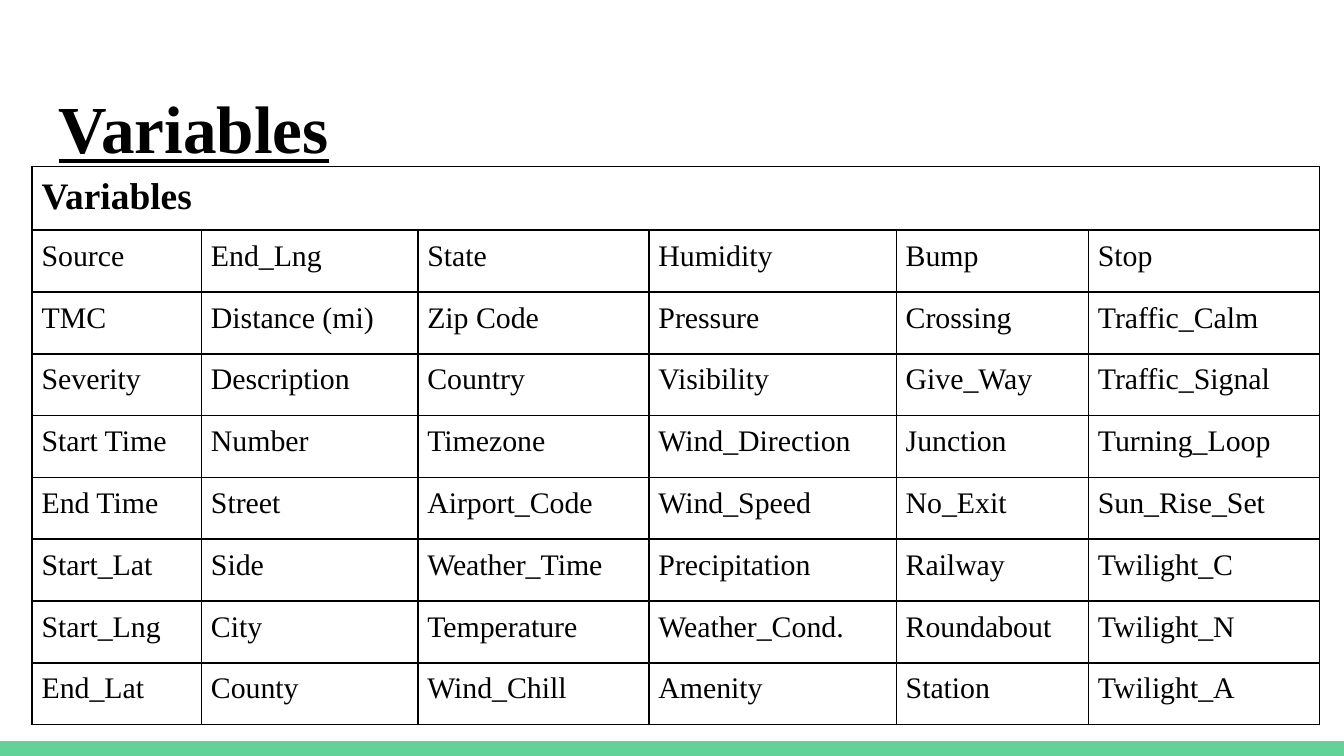
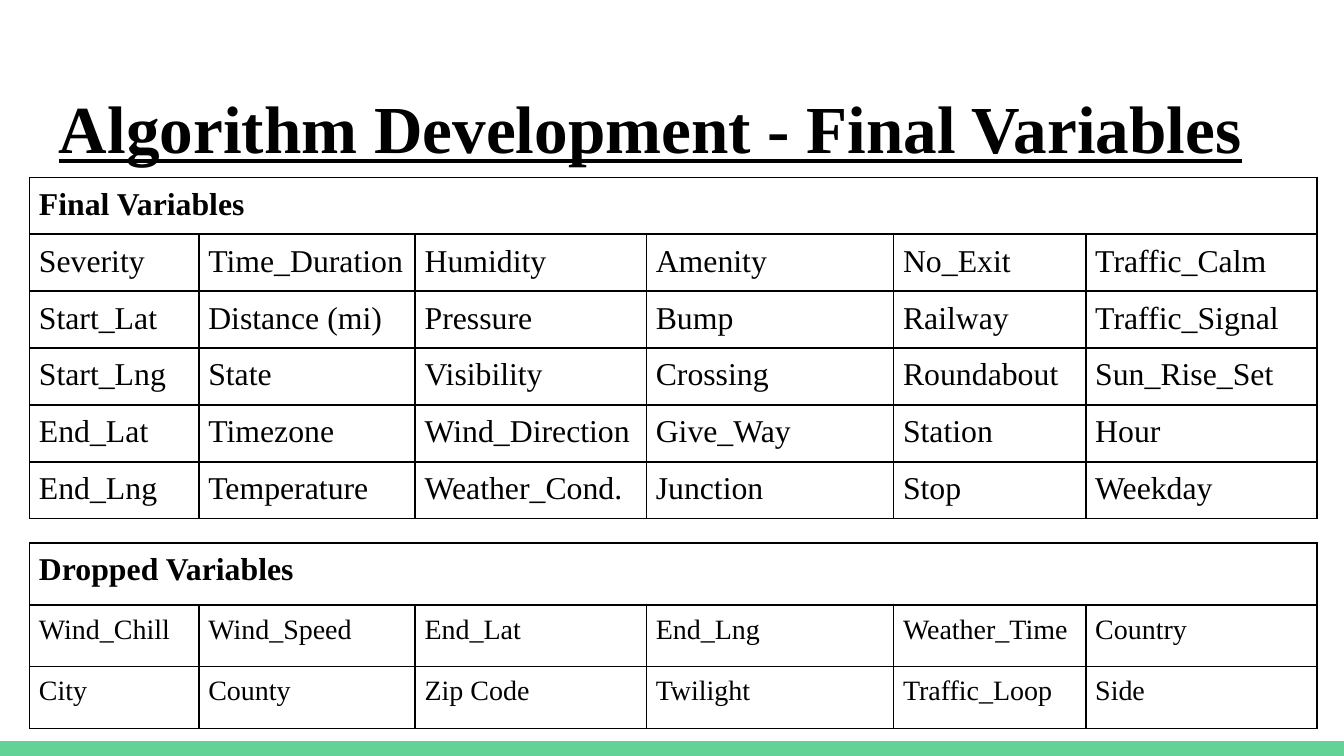
from lxml import etree
from pptx import Presentation, util as u
from pptx.dml.color import RGBColor
from pptx.enum import shapes, text
from pptx.oxml.ns import qn

WIDTH, HEIGHT = 10, 5.625
BLACK, GREEN = "000000", "63D297"
FONT = "Times New Roman"
COLUMNS = [1.26, 1.61, 1.72, 1.84, 1.43, 1.72]
CELL_INSET = 0.07
BAND_HEIGHT = 0.11


def colour(hex_code):
    return RGBColor.from_string(hex_code)


def write(frame, words, size, bold=False, underline=False, inset=CELL_INSET, top=CELL_INSET):
    frame.word_wrap = True
    frame.vertical_anchor = text.MSO_ANCHOR.TOP
    frame.margin_left = frame.margin_right = frame.margin_bottom = u.Inches(inset)
    frame.margin_top = u.Inches(top)
    run = frame.paragraphs[0].add_run()
    run.text = words
    run.font.name, run.font.size = FONT, u.Pt(size)
    run.font.bold, run.font.underline = bold, underline
    run.font.color.rgb = colour(BLACK)


# Content: each slide has a title and its tables, listed row by row
all_variables = {
    "heading": "Variables", "left": 0.24, "top": 1.24, "row": 0.46,
    "heading_size": 20, "size": 16,
    "rows": [
        ["Source", "End_Lng", "State", "Humidity", "Bump", "Stop"],
        ["TMC", "Distance (mi)", "Zip Code", "Pressure", "Crossing", "Traffic_Calm"],
        ["Severity", "Description", "Country", "Visibility", "Give_Way", "Traffic_Signal"],
        ["Start Time", "Number", "Timezone", "Wind_Direction", "Junction", "Turning_Loop"],
        ["End Time", "Street", "Airport_Code", "Wind_Speed", "No_Exit", "Sun_Rise_Set"],
        ["Start_Lat", "Side", "Weather_Time", "Precipitation", "Railway", "Twilight_C"],
        ["Start_Lng", "City", "Temperature", "Weather_Cond.", "Roundabout", "Twilight_N"],
        ["End_Lat", "County", "Wind_Chill", "Amenity", "Station", "Twilight_A"],
    ],
}
final_variables = {
    "heading": "Final Variables", "left": 0.22, "top": 1.32, "row": 0.4,
    "heading_size": 17, "size": 17,
    "rows": [
        ["Severity", "Time_Duration", "Humidity", "Amenity", "No_Exit", "Traffic_Calm"],
        ["Start_Lat", "Distance (mi)", "Pressure", "Bump", "Railway", "Traffic_Signal"],
        ["Start_Lng", "State", "Visibility", "Crossing", "Roundabout", "Sun_Rise_Set"],
        ["End_Lat", "Timezone", "Wind_Direction", "Give_Way", "Station", "Hour"],
        ["End_Lng", "Temperature", "Weather_Cond.", "Junction", "Stop", "Weekday"],
    ],
}
dropped_variables = {
    "heading": "Dropped Variables", "left": 0.22, "top": 4.04, "row": 0.46,
    "heading_size": 17, "size": 15,
    "rows": [
        ["Wind_Chill", "Wind_Speed", "End_Lat", "End_Lng", "Weather_Time", "Country"],
        ["City", "County", "Zip Code", "Twilight", "Traffic_Loop", "Side"],
    ],
}
pages = [
    ("Variables", [all_variables]),
    ("Algorithm Development - Final Variables", [final_variables, dropped_variables]),
]

deck = Presentation()
deck.slide_width, deck.slide_height = u.Inches(WIDTH), u.Inches(HEIGHT)
blank = deck.slide_layouts[6]

for title, groups in pages:
    slide = deck.slides.add_slide(blank)

    # Green band along the bottom edge
    band = slide.shapes.add_shape(
        shapes.MSO_SHAPE.RECTANGLE, 0, u.Inches(HEIGHT - BAND_HEIGHT),
        u.Inches(WIDTH), u.Inches(BAND_HEIGHT))
    band.shadow.inherit = False
    band.fill.solid()
    band.fill.fore_color.rgb = colour(GREEN)
    band.line.fill.background()

    # Underlined title
    heading = slide.shapes.add_textbox(
        u.Inches(0.34), u.Inches(0.49), u.Inches(WIDTH - 2 * 0.34), u.Inches(0.63))
    write(heading.text_frame, title, 36, bold=True, underline=True, inset=0.1, top=0.15)

    # Tables: a merged heading row above six columns of names
    for group in groups:
        count = len(group["rows"]) + 1
        grid = slide.shapes.add_table(
            count, len(COLUMNS), u.Inches(group["left"]), u.Inches(group["top"]),
            u.Inches(sum(COLUMNS)), u.Inches(count * group["row"])).table
        grid.first_row = grid.horz_banding = False
        for column, width in zip(grid.columns, COLUMNS):
            column.width = u.Inches(width)
        for row in grid.rows:
            row.height = u.Inches(group["row"])

        # Thin black borders, no fill
        for cell in grid.iter_cells():
            properties = cell._tc.get_or_add_tcPr()
            for side in ("a:lnL", "a:lnR", "a:lnT", "a:lnB"):
                border = etree.SubElement(properties, qn(side), w=str(u.Pt(1)))
                ink = etree.SubElement(border, qn("a:solidFill"))
                etree.SubElement(ink, qn("a:srgbClr"), val=BLACK)
            cell.fill.background()

        grid.cell(0, 0).merge(grid.cell(0, len(COLUMNS) - 1))
        lines = [[group["heading"]]] + group["rows"]
        for r, names in enumerate(lines):
            for c, name in enumerate(names):
                cell = grid.cell(r, c)
                write(cell.text_frame, name, group["size"] if r else group["heading_size"],
                      bold=r == 0)
                cell.margin_left = cell.margin_right = u.Inches(CELL_INSET)
                cell.margin_top = cell.margin_bottom = u.Inches(CELL_INSET)

        # Cell margins belong to the cell, so the text body keeps none of its own
        for cell in grid.iter_cells():
            body = cell.text_frame._txBody.bodyPr
            for key in list(body.attrib):
                del body.attrib[key]

deck.save("out.pptx")
